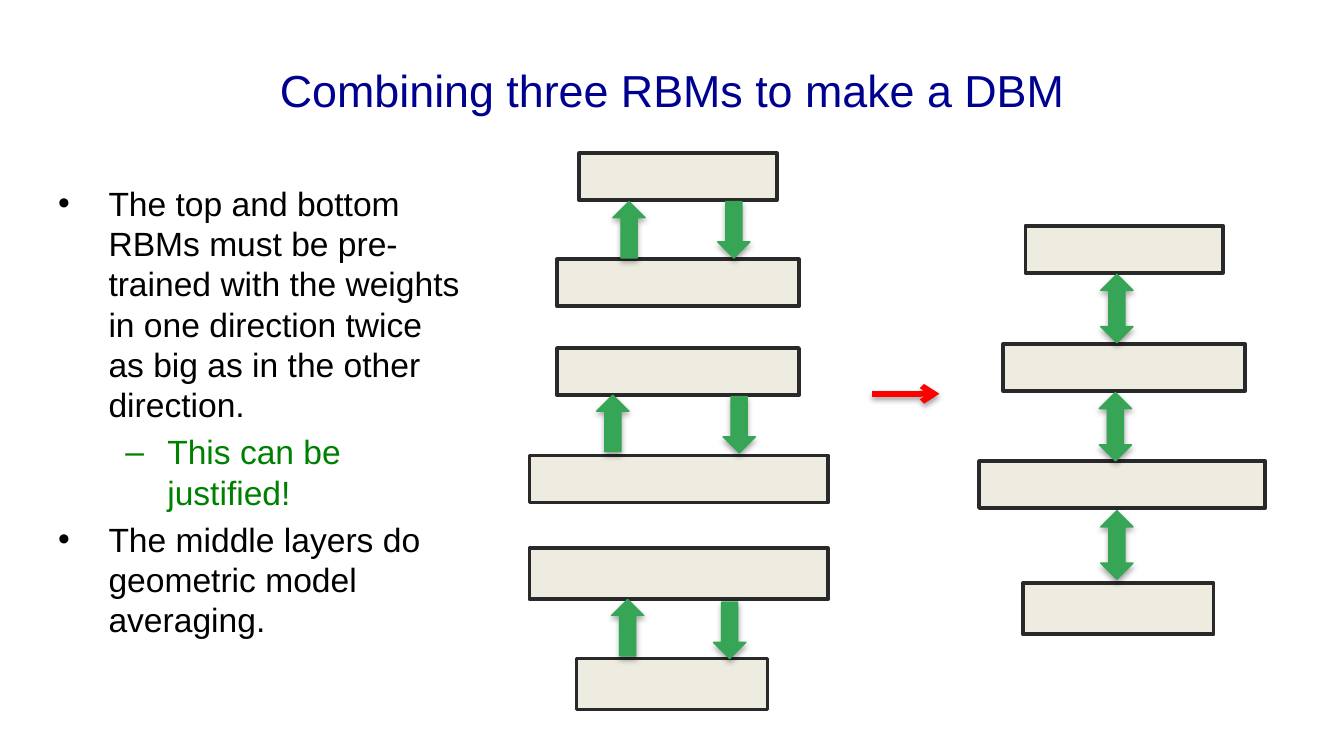
from typing import NamedTuple

from lxml.etree import SubElement
from pptx import Presentation
from pptx.dml.color import RGBColor
from pptx.enum.shapes import MSO_CONNECTOR, MSO_SHAPE as Shape
from pptx.enum.text import MSO_ANCHOR, PP_ALIGN
from pptx.oxml.ns import qn
from pptx.util import Inches, Pt

FONT = "Arial"
NAVY = RGBColor(0x00, 0x00, 0x90)
BLACK = RGBColor(0x00, 0x00, 0x00)
LEAF = RGBColor(0x00, 0x80, 0x00)
CREAM = RGBColor(0xEE, 0xEC, 0xE1)
CHARCOAL = RGBColor(0x29, 0x29, 0x29)
GREEN = RGBColor(0x36, 0xA5, 0x56)
RED = RGBColor(0xFF, 0x00, 0x00)

SLIDE_W = Inches(10)
SLIDE_H = SLIDE_W * 9 // 16
CELL = SLIDE_W // 100  # square grid, 100 columns across the slide
ARROW_W = 2.4
UNIT_ARROW_H, BOTH_ARROW_H = 4.2, 5.1


class Layer(NamedTuple):
    center: float
    top: float
    width: float
    height: float = 3.5


class Arrow(NamedTuple):
    left: float
    top: float
    preset: Shape = Shape.DOWN_ARROW
    height: float = UNIT_ARROW_H
    rotation: int = 0


class Point(NamedTuple):
    text: str
    bullet: str
    color: RGBColor
    level: int
    margin: float
    hanging: float


def grid(cells: float) -> int:
    return round(cells * CELL)


def add_shadow(shape, distance: float, opacity: int) -> None:
    effects = SubElement(shape._element.spPr, qn("a:effectLst"))
    outer = SubElement(effects, qn("a:outerShdw"), blurRad=str(Pt(3.1)),
                       dist=str(Pt(distance)), dir="5400000", rotWithShape="0")
    color = SubElement(outer, qn("a:srgbClr"), val="000000")
    SubElement(color, qn("a:alpha"), val=str(opacity * 1000))


def paint(shape, fill: RGBColor, line: RGBColor, weight: float) -> None:
    shape.fill.solid()
    shape.fill.fore_color.rgb = fill
    shape.line.color.rgb = line
    shape.line.width = Pt(weight)


def draw_layer(shapes, layer: Layer) -> None:
    box = shapes.add_shape(Shape.RECTANGLE, grid(layer.center - layer.width / 2),
                           grid(layer.top), grid(layer.width), grid(layer.height))
    paint(box, CREAM, CHARCOAL, 2)
    box.shadow.inherit = False


def draw_arrow(shapes, arrow: Arrow) -> None:
    block = shapes.add_shape(arrow.preset, grid(arrow.left), grid(arrow.top),
                             grid(ARROW_W), grid(arrow.height))
    block.rotation = arrow.rotation
    paint(block, GREEN, GREEN, 0.75)
    add_shadow(block, 1.8, 35)


def write_point(paragraph, point: Point) -> None:
    paragraph.text = point.text
    paragraph.level = point.level
    props = paragraph._p.get_or_add_pPr()
    props.set("marL", str(Pt(point.margin)))
    props.set("indent", str(-Pt(point.hanging)))
    SubElement(props, qn("a:buFont"), typeface=FONT)
    SubElement(props, qn("a:buChar"), char=point.bullet)
    font = paragraph.runs[0].font
    font.name, font.size, font.color.rgb = FONT, Pt(18), point.color


def both_ways(left: float, top: float) -> Arrow:
    return Arrow(left, top, Shape.UP_DOWN_ARROW, BOTH_ARROW_H)


def upward(left: float, top: float) -> Arrow:
    return Arrow(left, top, rotation=180)


POINTS = [
    Point("The top and bottom RBMs must be pre-trained with the weights in one "
          "direction twice as big as in the other direction.", "•", BLACK, 0, 27, 27),
    Point("This can be justified!", "–", LEAF, 1, 58.5, 22.5),
    Point("The middle layers do geometric model averaging.", "•", BLACK, 0, 27, 27),
]

RBM_LAYERS = [
    Layer(50.45, 11.4, 14.7), Layer(50.45, 19.3, 18),
    Layer(50.45, 25.9, 18), Layer(50.5, 33.9, 22.2),
    Layer(50.5, 40.8, 22.2, 3.8), Layer(50, 49, 14.2, 3.8),
]
DBM_LAYERS = [
    Layer(83.65, 16.8, 14.7), Layer(83.65, 25.6, 18),
    Layer(83.5, 34.3, 21.3), Layer(83.2, 43.4, 14.2, 3.8),
]
ARROWS = [
    upward(45.6, 15), Arrow(53.4, 15),
    upward(44.4, 29.4), Arrow(53.8, 29.5),
    upward(45.5, 44.6), Arrow(53.1, 44.8),
    both_ways(81.9, 20.4), both_ways(81.8, 29.2), both_ways(81.9, 38),
]


def main() -> None:
    deck = Presentation()
    deck.slide_width, deck.slide_height = SLIDE_W, SLIDE_H
    slide = deck.slides.add_slide(deck.slide_layouts[5])
    shapes = slide.shapes

    # Title
    title = shapes.title
    title.left, title.top = grid(5), grid(2)
    title.width, title.height = grid(90), grid(9.4)
    title.text_frame.text = "Combining three RBMs to make a DBM"
    title.text_frame.vertical_anchor = MSO_ANCHOR.MIDDLE
    heading = title.text_frame.paragraphs[0]
    heading.alignment = PP_ALIGN.CENTER
    font = heading.runs[0].font
    font.name, font.size, font.color.rgb = FONT, Pt(24), NAVY

    # Bulleted remarks
    remarks = shapes.add_textbox(grid(33.4 / 10), grid(13.1), grid(32.1), grid(37.1)).text_frame
    remarks.word_wrap = True
    for number, point in enumerate(POINTS):
        paragraph = remarks.add_paragraph() if number else remarks.paragraphs[0]
        if number:
            paragraph.space_before = Pt(3.6)
        write_point(paragraph, point)

    # Three RBMs on the left, the combined DBM on the right
    for layer in RBM_LAYERS + DBM_LAYERS:
        draw_layer(shapes, layer)
    for arrow in ARROWS:
        draw_arrow(shapes, arrow)

    # Step from the RBMs to the DBM
    step = shapes.add_connector(MSO_CONNECTOR.STRAIGHT, grid(64.9), grid(29.3),
                                grid(69.9), grid(29.3))
    step.line.color.rgb = RED
    step.line.width = Pt(3)
    SubElement(step.line._get_or_add_ln(), qn("a:tailEnd"), type="arrow")
    add_shadow(step, 1.6, 38)

    deck.save("out.pptx")


if __name__ == "__main__":
    main()
